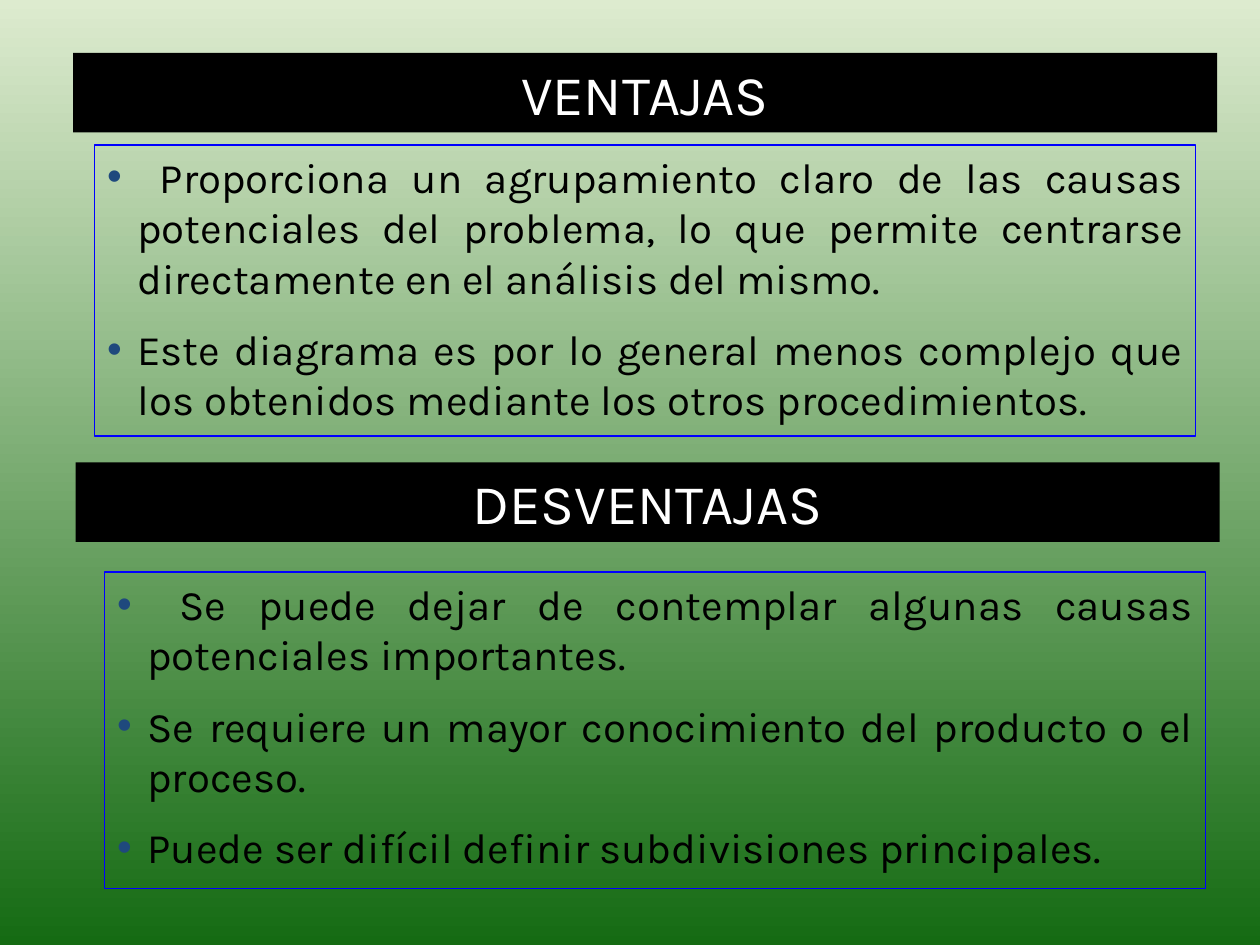
"""Build a slide that lists the advantages and drawbacks of a diagram."""
import lxml.etree
import pptx
import pptx.dml.color
import pptx.enum.text
import pptx.oxml.ns
import pptx.util

COLORS = {"top": "DDEBCF", "bottom": "156B13", "band": "000000", "heading": "FFFFFF",
          "text": "000000", "border": "0000FF", "bullet": "1F497D"}
FONT = "Karla"
HEADING_SIZE = (9.08, 0.63)
LIST_WIDTH = 8.74
INDENT = 0.24

SECTIONS = [
    {"heading": "VENTAJAS", "heading_slot": 0, "heading_at": (0.58, 0.42),
     "list_slot": 2, "list_at": (0.75, 1.15), "list_height": 2.31,
     "points": [
         " Proporciona un agrupamiento claro de las causas potenciales del problema, "
         "lo que permite centrarse directamente en el análisis del mismo.",
         "Este diagrama es por lo general menos complejo que los obtenidos mediante "
         "los otros procedimientos."]},
    {"heading": "DESVENTAJAS", "heading_slot": 3, "heading_at": (0.6, 3.67),
     "list_slot": 4, "list_at": (0.83, 4.54), "list_height": 2.51,
     "points": [
         " Se puede dejar de contemplar algunas causas potenciales importantes.",
         "Se requiere un mayor conocimiento del producto o el proceso.",
         "Puede ser difícil definir subdivisiones principales."]},
]


def rgb(name):
    return pptx.dml.color.RGBColor.from_string(COLORS[name])


def place(holder, position, size):
    holder.left, holder.top = map(pptx.util.Inches, position)
    holder.width, holder.height = map(pptx.util.Inches, size)
    frame = holder.text_frame
    frame.word_wrap = True
    frame.auto_size = pptx.enum.text.MSO_AUTO_SIZE.NONE
    frame.vertical_anchor = pptx.enum.text.MSO_ANCHOR.TOP


def style(paragraph, size, color, alignment, space=0):
    paragraph.alignment = alignment
    paragraph.space_before = pptx.util.Pt(space)
    paragraph.font.name = FONT
    paragraph.font.size = pptx.util.Pt(size)
    paragraph.font.bold = False
    paragraph.font.color.rgb = rgb(color)


def add_bullet(paragraph):
    qn = pptx.oxml.ns.qn
    properties = paragraph._p.get_or_add_pPr()
    properties.set("marL", str(pptx.util.Inches(INDENT)))
    properties.set("indent", str(-pptx.util.Inches(INDENT)))
    bullet_color = lxml.etree.SubElement(properties, qn("a:buClr"))
    lxml.etree.SubElement(bullet_color, qn("a:srgbClr"), val=COLORS["bullet"])
    lxml.etree.SubElement(properties, qn("a:buChar"), char="•")


def fill_section(holders, section):
    align = pptx.enum.text.PP_ALIGN
    heading = holders[section["heading_slot"]]
    place(heading, section["heading_at"], HEADING_SIZE)
    heading.fill.solid()
    heading.fill.fore_color.rgb = rgb("band")
    heading.text_frame.text = section["heading"]
    style(heading.text_frame.paragraphs[0], 32, "heading", align.CENTER)

    points = holders[section["list_slot"]]
    place(points, section["list_at"], (LIST_WIDTH, section["list_height"]))
    points.line.color.rgb = rgb("border")
    points.line.width = pptx.util.Pt(0.75)
    points.text_frame.text = "\n".join(section["points"])
    for row, paragraph in enumerate(points.text_frame.paragraphs):
        add_bullet(paragraph)
        style(paragraph, 24, "text", align.JUSTIFY, 12 if row else 0)


def main():
    deck = pptx.Presentation()
    deck.slide_width, deck.slide_height = pptx.util.Inches(10), pptx.util.Inches(7.5)
    slide = deck.slides.add_slide(deck.slide_layouts.get_by_name("Comparison"))

    background = slide.background.fill
    background.gradient()
    background.gradient_angle = 270
    for stop, position, name in zip(background.gradient_stops, (0, 1), ("top", "bottom")):
        stop.position = position
        stop.color.rgb = rgb(name)

    holders = {holder.placeholder_format.idx: holder for holder in slide.placeholders}
    for section in SECTIONS:
        fill_section(holders, section)
    for holder in holders.values():
        if not holder.text_frame.text:
            holder.element.getparent().remove(holder.element)
    deck.save("out.pptx")


if __name__ == "__main__":
    main()
